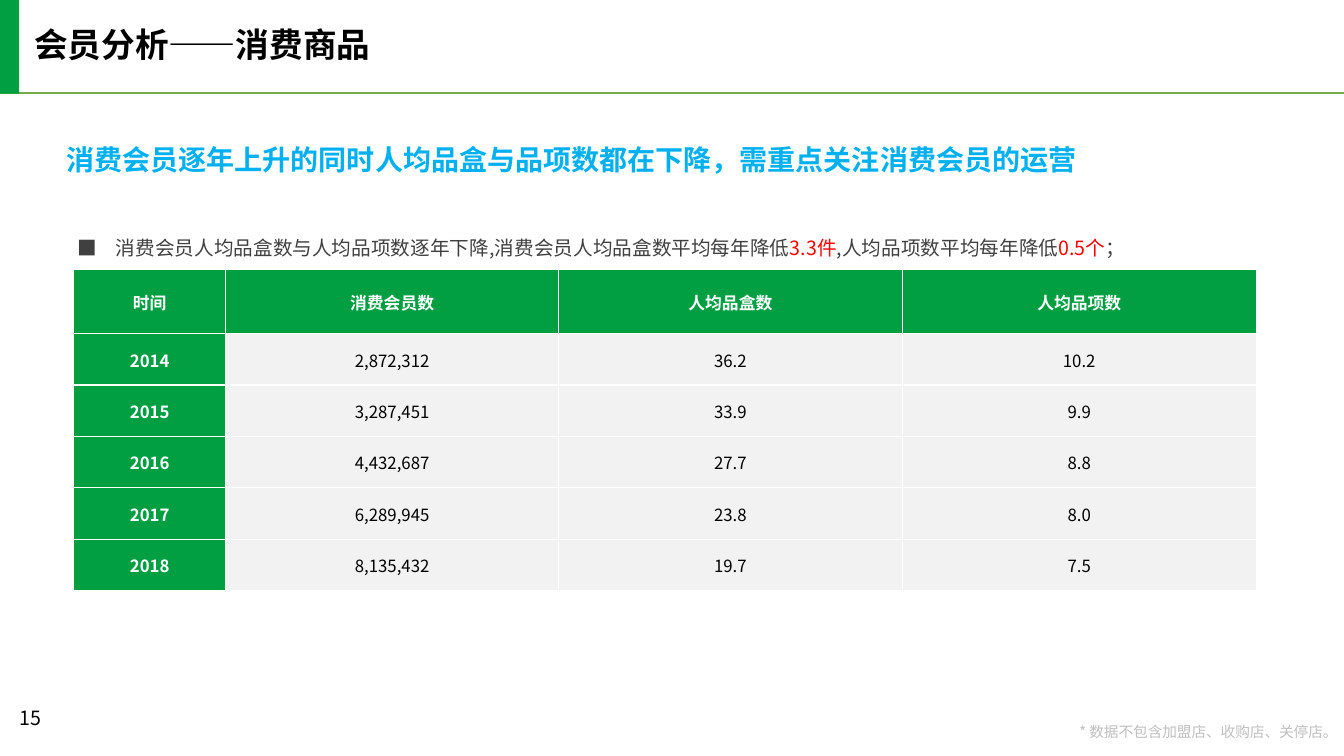
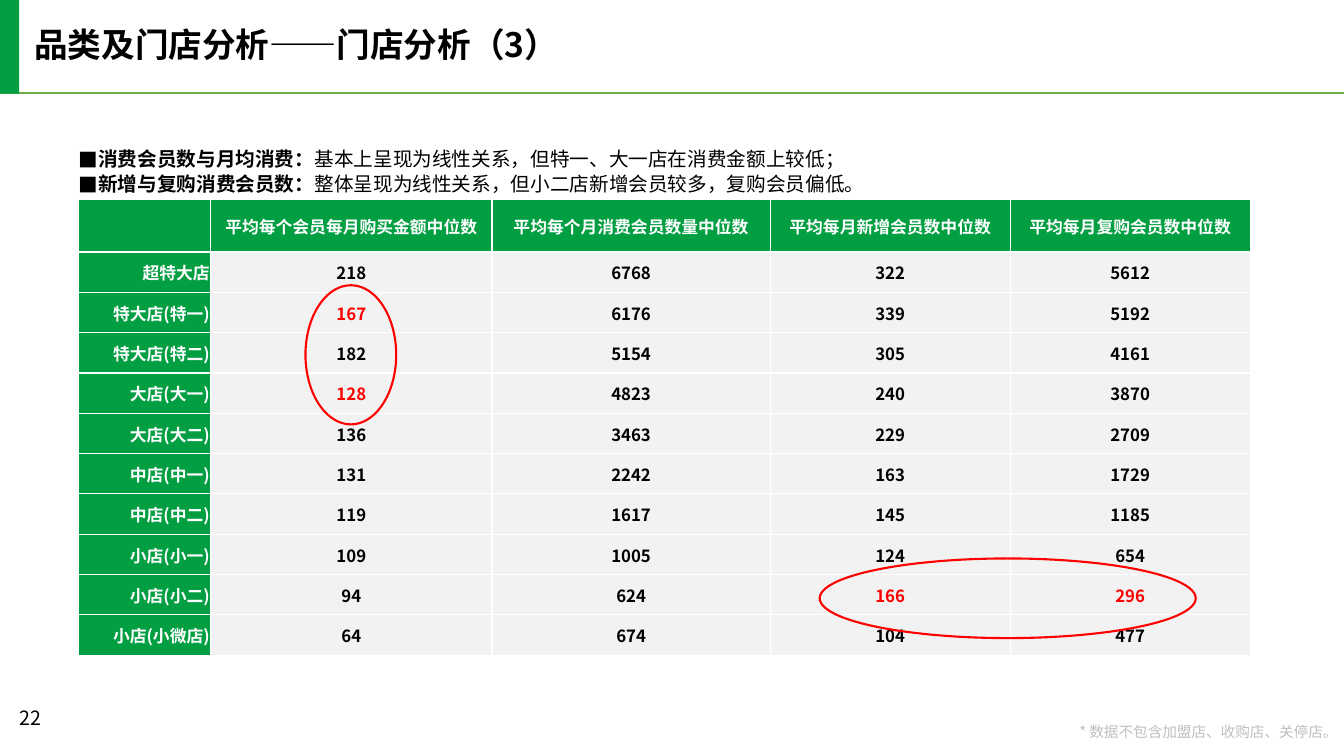
"""Build two membership analysis slides with highlighted tables."""
import lxml.etree
import pptx
import pptx.dml.color
import pptx.enum.lang
import pptx.enum.shapes
import pptx.enum.text
import pptx.oxml.ns
import pptx.util

Inches = pptx.util.Inches
Pt = pptx.util.Pt
ALIGN = pptx.enum.text.PP_ALIGN
ANCHOR = pptx.enum.text.MSO_ANCHOR
SHAPE = pptx.enum.shapes.MSO_SHAPE
qn = pptx.oxml.ns.qn

FONT = "Noto Sans CJK SC"
GREEN, RULE_GREEN, BLUE, RED = "029E42", "70AD47", "00B0F0", "FF0000"
WHITE, BLACK, DARK_GRAY, LIGHT_GRAY, PALE = "FFFFFF", "000000", "404040", "BFBFBF", "F2F2F2"
FOOTNOTE = "* 数据不包含加盟店、收购店、关停店。"

YEAR_ROWS = [
    ("时间", "消费会员数", "人均品盒数", "人均品项数"),
    ("2014", "2,872,312", "36.2", "10.2"),
    ("2015", "3,287,451", "33.9", "9.9"),
    ("2016", "4,432,687", "27.7", "8.8"),
    ("2017", "6,289,945", "23.8", "8.0"),
    ("2018", "8,135,432", "19.7", "7.5"),
]
STORE_ROWS = [
    ("", "平均每个会员每月购买金额中位数", "平均每个月消费会员数量中位数",
     "平均每月新增会员数中位数", "平均每月复购会员数中位数"),
    ("超特大店", "218", "6768", "322", "5612"),
    ("特大店(特一)", "167", "6176", "339", "5192"),
    ("特大店(特二)", "182", "5154", "305", "4161"),
    ("大店(大一)", "128", "4823", "240", "3870"),
    ("大店(大二)", "136", "3463", "229", "2709"),
    ("中店(中一)", "131", "2242", "163", "1729"),
    ("中店(中二)", "119", "1617", "145", "1185"),
    ("小店(小一)", "109", "1005", "124", "654"),
    ("小店(小二)", "94", "624", "166", "296"),
    ("小店(小微店)", "64", "674", "104", "477"),
]


def rgb(value):
    """Return the colour for a hex string."""
    return pptx.dml.color.RGBColor.from_string(value)


def format_run(run, size, color, bold=False):
    """Apply the deck's font with a size, colour and weight."""
    run.font.name = FONT
    run.font.size = Pt(size)
    run.font.bold = bold
    run.font.color.rgb = rgb(color)
    run.font.language_id = pptx.enum.lang.MSO_LANGUAGE_ID.SIMPLIFIED_CHINESE
    properties = run.font._element
    east_asian = lxml.etree.SubElement(properties, qn("a:ea"), typeface=FONT)
    properties.find(qn("a:latin")).addnext(east_asian)


def add_bullet(paragraph, indent):
    """Give a paragraph a square bullet with a hanging indent."""
    properties = paragraph._p.get_or_add_pPr()
    properties.set("marL", str(Inches(indent)))
    properties.set("indent", str(-Inches(indent)))
    lxml.etree.SubElement(properties, qn("a:buFont"), typeface=FONT)
    lxml.etree.SubElement(properties, qn("a:buChar"), char="■")


def add_text(slide, box, paragraphs, size, spacing=None, anchor=ANCHOR.TOP,
             align=ALIGN.LEFT, bullet_indent=None, wrap=True):
    """Add a text box whose paragraphs are lists of (text, colour, bold)."""
    text_frame = slide.shapes.add_textbox(*map(Inches, box)).text_frame
    text_frame.word_wrap = wrap
    text_frame.vertical_anchor = anchor
    text_frame.margin_left = text_frame.margin_right = 0
    text_frame.margin_top = text_frame.margin_bottom = 0
    for index, pieces in enumerate(paragraphs):
        paragraph = text_frame.add_paragraph() if index else text_frame.paragraphs[0]
        paragraph.alignment = align
        paragraph.line_spacing = spacing
        if bullet_indent:
            add_bullet(paragraph, bullet_indent)
        for text, color, bold in pieces:
            run = paragraph.add_run()
            run.text = text
            format_run(run, size, color, bold)


def add_shape(slide, preset, box, fill=None, line=None):
    """Add a preset shape with an optional fill and outline."""
    shape = slide.shapes.add_shape(preset, *map(Inches, box))
    shape.shadow.inherit = False
    if fill:
        shape.fill.solid()
        shape.fill.fore_color.rgb = rgb(fill)
    else:
        shape.fill.background()
    if line:
        shape.line.color.rgb = rgb(line)
        shape.line.width = Pt(1.5)
    else:
        shape.line.fill.background()


def add_rule(slide, top):
    """Add a horizontal rule across the slide."""
    connector = slide.shapes.add_connector(
        pptx.enum.shapes.MSO_CONNECTOR.STRAIGHT, 0, Inches(top), Inches(13.33), Inches(top))
    connector.line.color.rgb = rgb(RULE_GREEN)
    connector.line.width = Pt(1.5)
    lxml.etree.SubElement(connector._element.spPr, qn("a:effectLst"))


def add_borders(cell):
    """Draw white borders on all sides of a cell."""
    properties = cell._tc.get_or_add_tcPr()
    for side in ("a:lnL", "a:lnR", "a:lnT", "a:lnB"):
        border = lxml.etree.SubElement(properties, qn(side), w=str(Pt(1)))
        fill = lxml.etree.SubElement(border, qn("a:solidFill"))
        lxml.etree.SubElement(fill, qn("a:srgbClr"), val=WHITE)


def format_cell(cell, text, fill, color, bold, align):
    """Fill a cell and set its text."""
    add_borders(cell)
    cell.fill.solid()
    cell.fill.fore_color.rgb = rgb(fill)
    cell.vertical_anchor = ANCHOR.MIDDLE
    cell.margin_left = cell.margin_right = cell.margin_top = Inches(0.01)
    cell.margin_bottom = 0
    if text:
        paragraph = cell.text_frame.paragraphs[0]
        paragraph.text = text
        paragraph.alignment = align
        format_run(paragraph.runs[0], 12, color, bold)


def add_table(slide, left, top, widths, header_height, row_height, rows,
              label_align=ALIGN.CENTER, bold_values=False, highlights=()):
    """Add a table with green headers and pale values."""
    height = header_height + row_height * (len(rows) - 1)
    table = slide.shapes.add_table(
        len(rows), len(widths), Inches(left), Inches(top),
        Inches(sum(widths)), Inches(height)).table
    table.horz_banding = False
    for column, width in zip(table.columns, widths):
        column.width = Inches(width)
    for row_index, values in enumerate(rows):
        table.rows[row_index].height = Inches(row_height if row_index else header_height)
        for column_index, text in enumerate(values):
            is_header = row_index == 0 or column_index == 0
            value_color = RED if (row_index, column_index) in highlights else BLACK
            format_cell(
                table.cell(row_index, column_index), text,
                GREEN if is_header else PALE,
                WHITE if is_header else value_color,
                is_header or bold_values,
                label_align if row_index and not column_index else ALIGN.CENTER)


def add_base_slide(presentation, title, number):
    """Add a blank slide with the shared title band and footer."""
    slide = presentation.slides.add_slide(presentation.slide_layouts[6])
    add_rule(slide, 0.92)
    add_text(slide, (0.34, 0.28, 6.29, 0.36), [[(title, BLACK, True)]], 24, 0.9)
    add_shape(slide, SHAPE.RECTANGLE, (0, -0.01, 0.19, 0.94), fill=GREEN)
    add_text(slide, (10.66, 7.19, 2.61, 0.16), [[(FOOTNOTE, LIGHT_GRAY, False)]],
             10.5, 0.9, align=ALIGN.RIGHT, wrap=False)
    add_text(slide, (0.19, 7, 0.71, 0.3), [[(str(number), BLACK, False)]], 14)
    return slide


def add_product_slide(presentation):
    """Add the slide on products bought by members."""
    slide = add_base_slide(presentation, "会员分析——消费商品", 15)
    add_table(slide, 0.73, 2.67, (1.51, 3.3, 3.41, 3.51), 0.64, 0.51, YEAR_ROWS)
    finding = [
        ("消费会员人均品盒数与人均品项数逐年下降,消费会员人均品盒数平均每年降低".replace(",", ","), DARK_GRAY, False),
        ("3.3件", RED, False),
        (",人均品项数平均每年降低".replace(",", ","), DARK_GRAY, False),
        ("0.5个", RED, False),
        ("\uff1b", DARK_GRAY, False),
    ]
    add_text(slide, (0.77, 2.22, 11.83, 0.35), [finding], 14, 1.5,
             ANCHOR.MIDDLE, bullet_indent=0.38)
    headline = "消费会员逐年上升的同时人均品盒与品项数都在下降\uff0c需重点关注消费会员的运营"
    add_text(slide, (0.66, 1.49, 12.06, 0.26), [[(headline, BLUE, True)]], 20,
             Pt(18), ANCHOR.MIDDLE)


def add_store_slide(presentation):
    """Add the slide comparing store sizes."""
    slide = add_base_slide(presentation, "品类及门店分析——门店分析\uff083\uff09", 22)
    add_table(slide, 0.78, 1.98, (1.31, 2.79, 2.76, 2.38, 2.38), 0.52, 0.4, STORE_ROWS,
              ALIGN.RIGHT, True, {(2, 1), (4, 1), (9, 3), (9, 4)})
    findings = [
        ("消费会员数与月均消费\uff1a",
         "基本上呈现为线性关系\uff0c但特一、大一店在消费金额上较低\uff1b"),
        ("新增与复购消费会员数\uff1a",
         "整体呈现为线性关系\uff0c但小二店新增会员较多\uff0c复购会员偏低。"),
    ]
    paragraphs = [[(label, BLACK, True), (text, BLACK, False)] for label, text in findings]
    add_text(slide, (0.78, 1.44, 11.6, 0.5), paragraphs, 14, Pt(18),
             ANCHOR.MIDDLE, bullet_indent=0.19)
    for box in ((3.03, 2.83, 0.9, 1.38), (8.13, 5.54, 3.73, 0.79)):
        add_shape(slide, SHAPE.OVAL, box, line=RED)


def main():
    """Build and save the presentation."""
    presentation = pptx.Presentation()
    presentation.slide_width = Inches(13.33)
    presentation.slide_height = Inches(7.5)
    add_product_slide(presentation)
    add_store_slide(presentation)
    presentation.save("out.pptx")


main()
